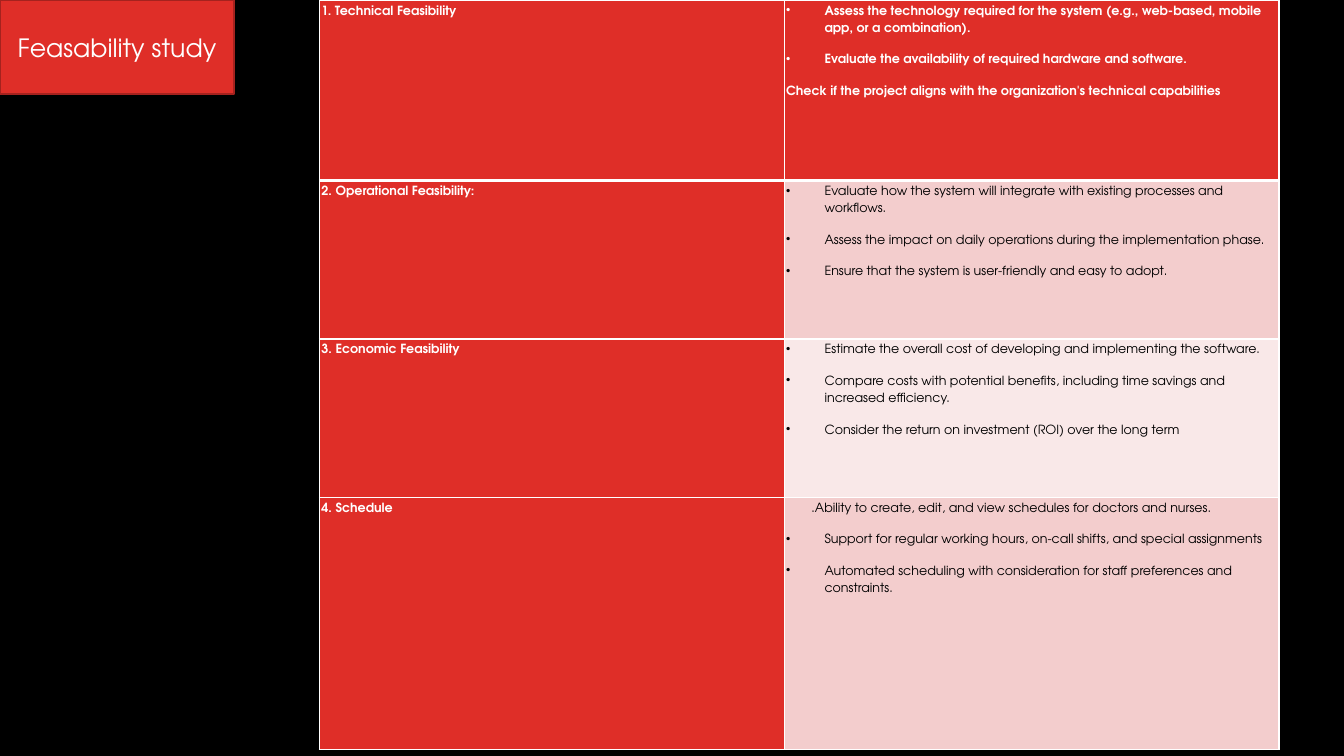
from lxml import etree
from pptx import Presentation
from pptx import util as u
from pptx.dml.color import RGBColor
from pptx.enum import text
from pptx.oxml import ns

FONT = "TeX Gyre Adventor"
RED, DARK_RED, PINK, PALE_PINK = "DF2E28", "A5221E", "F3CDCD", "F9E8E8"
WHITE, BLACK = "FFFFFF", "000000"


def paint(fill, color):
    fill.solid()
    fill.fore_color.rgb = RGBColor.from_string(color)


def add_part(parent, tag, **attributes):
    """Append a DrawingML element and return it."""
    return etree.SubElement(parent, ns.qn(tag), attributes)


# Each line of a study is (text, style); styles are bullet, indent or plain.
studies = [
    ("1. Technical Feasibility", RED, [
        ("Assess the technology required for the system (e.g., web-based, mobile app, or a combination).", "bullet"),
        ("Evaluate the availability of required hardware and software.", "bullet"),
        ("Check if the project aligns with the organization's technical capabilities", "plain")]),
    ("2. Operational Feasibility:", PINK, [
        ("Evaluate how the system will integrate with existing processes and workflows.", "bullet"),
        ("Assess the impact on daily operations during the implementation phase.", "bullet"),
        ("Ensure that the system is user-friendly and easy to adopt.", "bullet")]),
    ("3. Economic Feasibility", PALE_PINK, [
        ("Estimate the overall cost of developing and implementing the software.", "bullet"),
        ("Compare costs with potential benefits, including time savings and increased efficiency.", "bullet"),
        ("Consider the return on investment (ROI) over the long term", "bullet")]),
    ("4. Schedule", PINK, [
        (".Ability to create, edit, and view schedules for doctors and nurses.", "indent"),
        ("Support for regular working hours, on-call shifts, and special assignments", "bullet"),
        ("Automated scheduling with consideration for staff preferences and constraints.", "bullet")]),
]

deck = Presentation()
deck.slide_width, deck.slide_height = u.Cm(33.87), u.Cm(19.05)
slide = deck.slides.add_slide(deck.slide_layouts[5])
paint(slide.background.fill, BLACK)

# Title on a rounded red plate
title = slide.shapes.title
title.left, title.top, title.width, title.height = u.Cm(0), u.Cm(0), u.Cm(5.9), u.Cm(2.37)
add_part(add_part(title._element.spPr, "a:prstGeom", prst="roundRect"), "a:avLst")
paint(title.fill, RED)
paint(title.line.fill, DARK_RED)
title.line.width = u.Pt(1)
title.text_frame.text = "Feasability study"
for key, value in {"auto_size": text.MSO_AUTO_SIZE.NONE, "word_wrap": True,
                   "vertical_anchor": text.MSO_ANCHOR.MIDDLE}.items():
    setattr(title.text_frame, key, value)
heading = title.text_frame.paragraphs[0]
heading.alignment = text.PP_ALIGN.CENTER
heading.font.name, heading.font.size = FONT, u.Pt(18)
paint(heading.font.fill, WHITE)

# Feasibility table
column_widths = [11.71, 12.47]
row_heights = [4.55, 3.99, 3.99, 6.35]
table = slide.shapes.add_table(len(studies), 2, u.Cm(8.05), u.Cm(0),
                               u.Cm(sum(column_widths)), u.Cm(sum(row_heights))).table
for column, width in zip(table.columns, column_widths):
    column.width = u.Cm(width)
for row, height in zip(table.rows, row_heights):
    row.height = u.Cm(height)

cell_format = {"margin_left": u.Cm(0.05), "margin_right": u.Cm(0.05),
               "margin_top": 0, "margin_bottom": 0}
indents = {"bullet": (0.97, -0.97), "indent": (0.64, 0), "plain": (0, 0)}

for row, (name, tint, points) in enumerate(studies):
    for column, (lines, color) in enumerate([([(name, "plain")], RED), (points, tint)]):
        cell = table.cell(row, column)
        for key, value in cell_format.items():
            setattr(cell, key, value)

        properties = cell._tc.get_or_add_tcPr()
        for side in "LRTB":
            header_rule = (side == "B" and row == 0) or (side == "T" and row == 1)
            border = add_part(properties, f"a:ln{side}", w=str(u.Pt(3 if header_rule else 1)))
            add_part(add_part(border, "a:solidFill"), "a:srgbClr", val=WHITE)
        paint(cell.fill, color)

        cell.text = "\n".join(line for line, style in lines)
        for paragraph, (line, style) in zip(cell.text_frame.paragraphs, lines):
            paragraph.line_spacing = 1.5
            paragraph.space_after = u.Pt(10)
            layout = paragraph._p.get_or_add_pPr()
            margin, hanging = indents[style]
            layout.set("marL", str(u.Cm(margin)))
            layout.set("indent", str(u.Cm(hanging)))
            if style == "bullet":
                add_part(layout, "a:buChar", char="•")
            paragraph.font.name, paragraph.font.size = FONT, u.Pt(9)
            paragraph.font.bold = color == RED
            paint(paragraph.font.fill, WHITE if color == RED else BLACK)

deck.save("out.pptx")
